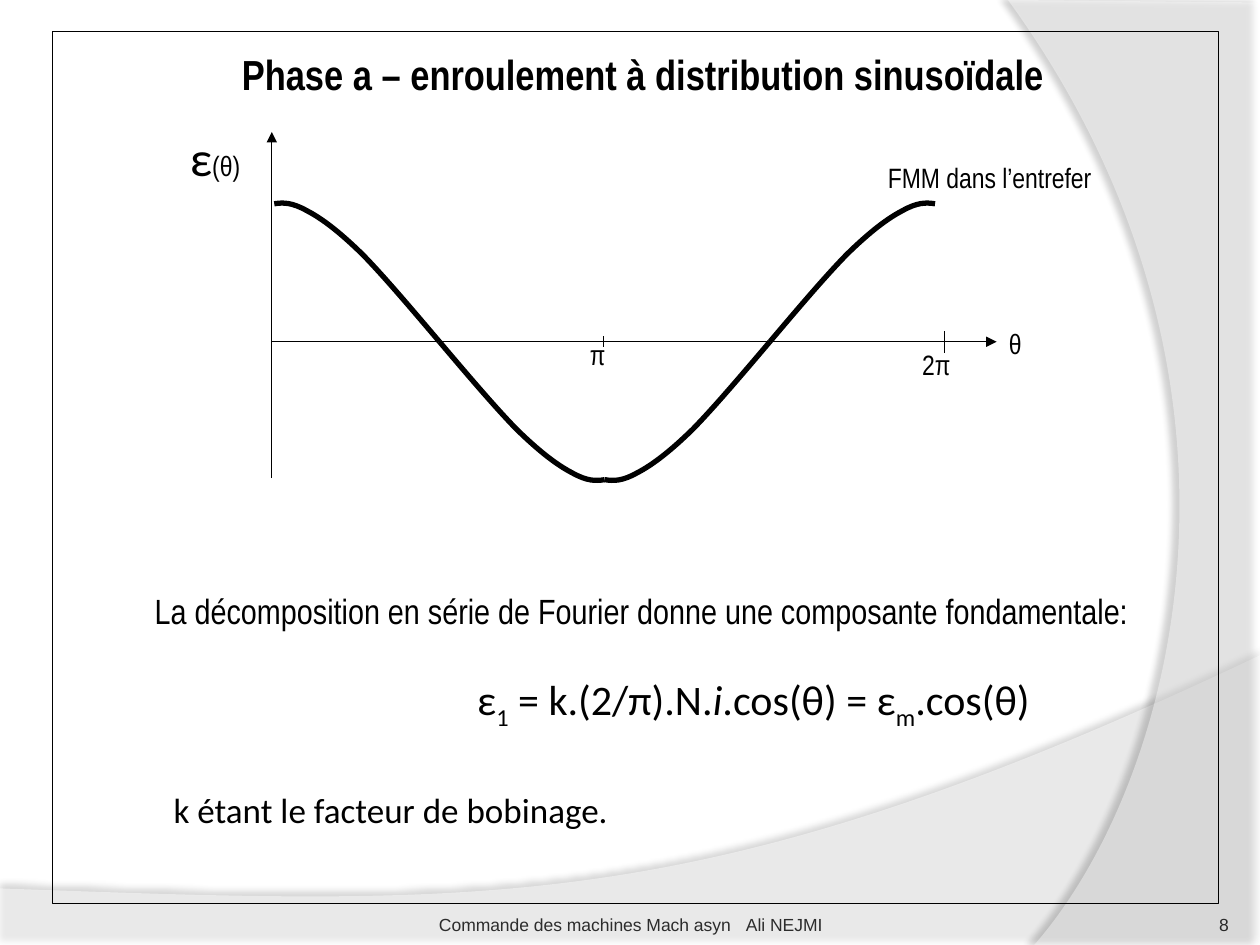
import lxml.etree
import pptx
import pptx.dml.color
import pptx.enum.shapes
import pptx.enum.text
import pptx.oxml.ns
import pptx.util

Cm = pptx.util.Cm
Pt = pptx.util.Pt
ALIGN = pptx.enum.text.PP_ALIGN
ANCHOR = pptx.enum.text.MSO_ANCHOR
NARROW = "Arial Narrow"

AXIS_LEFT, AXIS_Y = 5.48, 6.89
# Quarter wave in cm, from a zero crossing to a crest: three Bézier segments.
QUARTER_WAVE = [
    (0, 0), (0.56, 0.66), (1.12, 1.32), (1.55, 1.76), (2, 2.2),
    (2.36, 2.48), (2.67, 2.64), (2.97, 2.81), (3.15, 2.81), (3.33, 2.78),
]


def color(value):
    return pptx.dml.color.RGBColor.from_string(value)


def append_xml(parent, tag, **attributes):
    child = lxml.etree.SubElement(parent, pptx.oxml.ns.qn(tag))
    for name, value in attributes.items():
        child.set(name, str(value))
    return child


def add_outline(slide, corners, curve, closed):
    """Draw straight sides through corners, then cubic segments through curve."""
    points = [(Cm(x), Cm(y)) for x, y in corners + curve]
    builder = slide.shapes.build_freeform(*points[0])
    builder.add_line_segments(points[1:], close=closed)
    shape = builder.convert_to_shape()
    shape.shadow.inherit = False
    sides = list(shape.element.iter(pptx.oxml.ns.qn("a:lnTo")))[len(corners) - 1:]
    for start in range(0, len(sides), 3):
        segment = append_xml(sides[start].getparent(), "a:cubicBezTo")
        sides[start].addprevious(segment)
        for side in sides[start:start + 3]:
            segment.append(side[0])
            side.getparent().remove(side)
    return shape


def add_swoosh(slide, corners, curve, opacity, shadow_opacity, distance, direction):
    """Add a translucent white area with a soft shadow; angles in degrees."""
    shape = add_outline(slide, corners, curve, closed=True)
    # Control points may lie past the slide edge; the outline itself does not.
    shape.width = Cm(25.4) - shape.left
    outline = next(shape.element.iter(pptx.oxml.ns.qn("a:path")))
    outline.set("w", str(shape.width))
    shape.line.fill.background()
    shape.fill.solid()
    shape.fill.fore_color.rgb = color("FFFFFF")
    properties = shape.element.spPr
    fill = properties.find(".//" + pptx.oxml.ns.qn("a:srgbClr"))
    append_xml(fill, "a:alpha", val=opacity * 1000)
    effects = properties.find(pptx.oxml.ns.qn("a:effectLst"))
    shadow = append_xml(
        effects, "a:outerShdw", blurRad=Pt(4), dist=Pt(distance),
        dir=direction * 60000, algn="ctr", rotWithShape=0,
    )
    shade = append_xml(shadow, "a:srgbClr", val="000000")
    append_xml(shade, "a:alpha", val=shadow_opacity * 1000)


def add_quarter_wave(slide, crossing, horizontal, vertical):
    """Add one quarter, mirrored by the signs horizontal and vertical."""
    points = [(crossing + horizontal * x, AXIS_Y + vertical * y) for x, y in QUARTER_WAVE]
    shape = add_outline(slide, points[:1], points[1:], closed=False)
    shape.fill.background()
    shape.line.color.rgb = color("000000")
    shape.line.width = Pt(3)


def add_line(slide, x1, y1, x2, y2, arrow=False):
    line = slide.shapes.add_connector(
        pptx.enum.shapes.MSO_CONNECTOR.STRAIGHT, Cm(x1), Cm(y1), Cm(x2), Cm(y2)
    )
    line.line.color.rgb = color("000000")
    line.line.width = Pt(0.75)
    properties = line.element.spPr
    if arrow:
        append_xml(properties.find(pptx.oxml.ns.qn("a:ln")), "a:tailEnd", type="triangle")
    append_xml(properties, "a:effectLst")


def add_frame(slide, left, top, width, height):
    shape = slide.shapes.add_shape(
        pptx.enum.shapes.MSO_SHAPE.RECTANGLE, Cm(left), Cm(top), Cm(width), Cm(height)
    )
    shape.shadow.inherit = False
    shape.fill.background()
    shape.line.color.rgb = color("000000")
    shape.line.width = Pt(0.75)


def add_box(slide, left, top, width, height, wrap=True, anchor=ANCHOR.TOP, insets=None):
    box = slide.shapes.add_textbox(Cm(left), Cm(top), Cm(width), Cm(height))
    frame = box.text_frame
    frame.word_wrap = wrap
    frame.vertical_anchor = anchor
    if insets:
        (frame.margin_left, frame.margin_top,
         frame.margin_right, frame.margin_bottom) = map(Cm, insets)
    return frame


def write(paragraph, text, size=16, font=NARROW, fill="000000", bold=False,
          italic=False, subscript=False, tracking=0):
    run = paragraph.add_run()
    run.text = text
    run.font.size = Pt(size)
    run.font.name = font
    run.font.bold = bold
    run.font.italic = italic
    run.font.color.rgb = color(fill)
    if subscript:
        run.font._element.set("baseline", "-25000")
    if tracking:
        run.font._element.set("spc", str(tracking * 100))


def add_body(slide):
    frame = add_box(slide, 2.87, 11.76, 20.5, 6.76)
    write(frame.paragraphs[0],
          "La décomposition en série de Fourier donne une composante fondamentale:", size=20)

    formula = frame.add_paragraph()
    formula.space_before = Pt(24)
    formula._p.get_or_add_pPr().set("marL", str(Cm(6.5)))
    for text, style in (
        ("ε", {}), ("1", {"subscript": True}), (" = k.(2/π).N.", {}),
        ("i", {"italic": True}), (".cos(θ) = ε", {}),
        ("m", {"subscript": True}), (".cos(θ)", {}),
    ):
        write(formula, text, size=24, font="Calibri", **style)

    note = frame.add_paragraph()
    note.space_before = Pt(33)
    note._p.get_or_add_pPr().set("marL", str(Cm(0.38)))
    write(note, "k étant le facteur de bobinage.", size=20, font="Calibri")


def add_graph(slide):
    for crossing, horizontal, vertical in (
        (8.86, -1, -1), (8.86, 1, 1), (15.52, -1, 1), (15.52, 1, -1)
    ):
        add_quarter_wave(slide, crossing, horizontal, vertical)
    add_line(slide, AXIS_LEFT, AXIS_Y, 20.09, AXIS_Y, arrow=True)
    add_line(slide, AXIS_LEFT, 9.64, AXIS_LEFT, 2.66, arrow=True)
    add_line(slide, 19.04, 6.68, 19.04, 7.11)
    add_line(slide, 12.17, 6.78, 12.17, 6.99)

    for text, left, top, width, wrap in (
        ("θ", 20.09, 6.46, 1.07, True),
        ("FMM dans l’entrefer", 17.65, 3.11, 5.77, True),
        ("π", 11.64, 6.68, 0.81, False),
        ("2π", 18.34, 6.88, 1.09, False),
    ):
        write(add_box(slide, left, top, width, 0.94, wrap=wrap).paragraphs[0], text)
    axis_name = add_box(slide, 3.58, 2.44, 1.57, 1.45, wrap=False).paragraphs[0]
    write(axis_name, "ε", size=28, font="Calibri")
    write(axis_name, "(θ)")


def add_heading(slide):
    title = add_box(slide, 3.93, 0.85, 18.06, 2.1).paragraphs[0]
    title.alignment = ALIGN.CENTER
    write(title, "Phase a – enroulement à distribution sinusoïdale", size=24, bold=True)


def add_footer(slide):
    number = add_box(slide, 22.66, 17.83, 2.11, 1.02, anchor=ANCHOR.BOTTOM,
                     insets=(0, 0, 0, 0)).paragraphs[0]
    number.alignment = ALIGN.RIGHT
    write(number, "8", size=10, font="Arial", fill="292929")

    course = add_box(slide, 8.69, 17.83, 8.05, 1.02, anchor=ANCHOR.BOTTOM,
                     insets=(0, 0.13, 0, 0)).paragraphs[0]
    course.alignment = ALIGN.CENTER
    for text, tracking in (
        ("Commande des machines Mach asyn", 0), (" ", 6), ("Ali NEJMI", 0)
    ):
        write(course, text, size=10, font="Arial", fill="2C2C2C", tracking=tracking)


def main():
    presentation = pptx.Presentation()
    presentation.slide_width, presentation.slide_height = Cm(25.4), Cm(19.05)
    slide = presentation.slides.add_slide(presentation.slide_layouts[6])

    add_swoosh(slide, [(0, 17.91), (0, 19.08), (25.4, 19.08), (25.4, 13.21)],
               [(14.2, 18.52), (9.93, 18.26), (0, 17.91)], 45, 35, 3.5, 270)
    add_swoosh(slide, [(25.4, 0.05), (25.4, 19.05), (20.85, 19.05)],
               [(23.75, 15.72), (25.86, 7.62), (20.32, 0)], 40, 45, 4, 180)

    add_graph(slide)
    add_body(slide)
    add_heading(slide)
    add_frame(slide, 1.06, 0.63, 23.5, 17.58)
    add_footer(slide)
    presentation.save("out.pptx")


if __name__ == "__main__":
    main()
